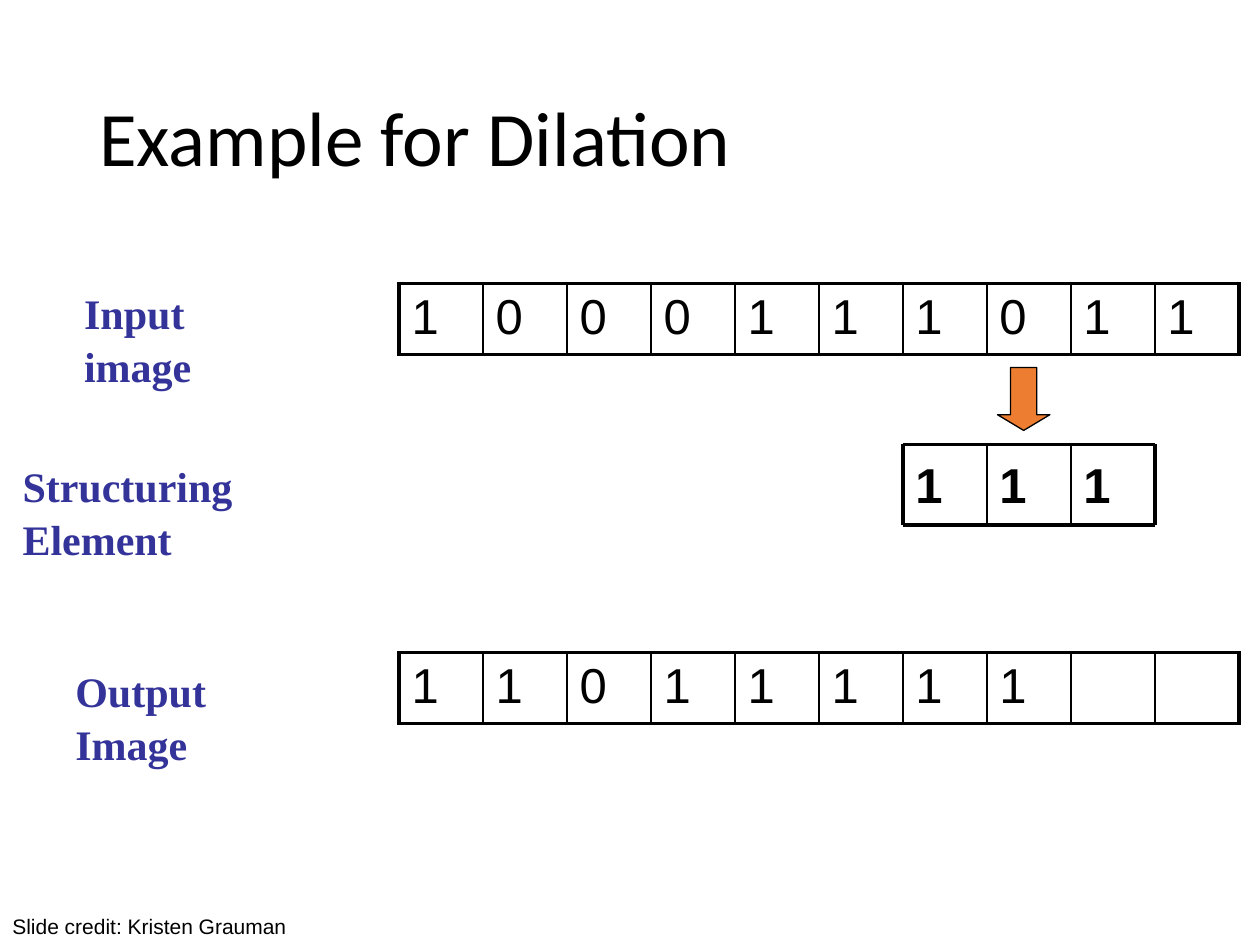
import dataclasses

import lxml.etree
import pptx
import pptx.dml.color
import pptx.enum.shapes
import pptx.enum.text
import pptx.oxml.ns
import pptx.util

Pt = pptx.util.Pt
qn = pptx.oxml.ns.qn
Anchor = pptx.enum.text.MSO_ANCHOR
AutoSize = pptx.enum.text.MSO_AUTO_SIZE


@dataclasses.dataclass(frozen=True)
class Theme:
    black: str = "000000"
    label: str = "333399"
    arrow: str = "ED7D31"
    title_font: str = "Calibri"
    body_font: str = "Arial"
    label_font: str = "Times New Roman"
    title_size: int = 44
    digit_size: int = 28
    label_size: int = 24
    credit_size: int = 12
    thick: float = 2.25
    thin: float = 1
    outline: float = 0.75


theme = Theme()
color = pptx.dml.color.RGBColor.from_string


def write(text_frame, text, font_name, size, rgb=theme.black, bold=False):
    text_frame.text = text
    paragraph = text_frame.paragraphs[0]
    paragraph.alignment = pptx.enum.text.PP_ALIGN.LEFT
    for run in paragraph.runs:
        run.font.name = font_name
        run.font.size = Pt(size)
        run.font.color.rgb = color(rgb)
        run.font.bold = bold
    return paragraph


def set_borders(cell, widths):
    properties = cell._tc.get_or_add_tcPr()
    for index, (side, width) in enumerate(widths.items()):
        line = lxml.etree.Element(qn(f"a:ln{side}"), w=str(Pt(width)))
        fill = lxml.etree.SubElement(line, qn("a:solidFill"))
        lxml.etree.SubElement(fill, qn("a:srgbClr"), val=theme.black)
        properties.insert(index, line)


presentation = pptx.Presentation()
presentation.slide_width = Pt(720)
presentation.slide_height = Pt(540)
slide = presentation.slides.add_slide(presentation.slide_layouts[5])
shapes = slide.shapes

# Title
title = shapes.title
title.left, title.top, title.width, title.height = Pt(49.5), Pt(28.8), Pt(621), Pt(104.4)
title.text_frame.vertical_anchor = Anchor.MIDDLE
title.text_frame.auto_size = AutoSize.NONE
write(title.text_frame, "Example for Dilation", theme.title_font, theme.title_size).line_spacing = 0.9

# Input and output rows, one table each
cell_width = 48
row_left, row_height = 228, 40.5
for top, digits in [(162, "1000111011"), (373, "11011111  ")]:
    count = len(digits)
    frame = shapes.add_table(1, count, Pt(row_left), Pt(top), Pt(cell_width * count), Pt(row_height))
    table = frame.table
    table.first_row = False
    table.horz_banding = False
    for index, digit in enumerate(digits):
        table.columns[index].width = Pt(cell_width)
        cell = table.cell(0, index)
        cell.fill.background()
        write(cell.text_frame, digit.strip(), theme.body_font, theme.digit_size)
        set_borders(cell, {
            "L": theme.thick if index == 0 else theme.thin,
            "R": theme.thick if index == count - 1 else theme.thin,
            "T": theme.thick,
            "B": theme.thick,
        })

# Row labels
for text, left, top, width in [
    ("Input image", 41, 159, 129.6),
    ("Structuring Element", 5.8, 257.8, 208),
    ("Output Image", 36, 375, 147),
]:
    label = shapes.add_textbox(Pt(left), Pt(top), Pt(width), Pt(36))
    label.text_frame.word_wrap = True
    label.text_frame.auto_size = AutoSize.SHAPE_TO_FIT_TEXT
    paragraph = write(label.text_frame, text, theme.label_font, theme.label_size, theme.label, True)
    paragraph.line_spacing = 1.06

# Structuring element: digits
element_left, element_top, element_bottom = 516, 254, 300
element_digits = "111"
for index, digit in enumerate(element_digits):
    box = shapes.add_textbox(Pt(element_left + index * cell_width), Pt(element_top),
                             Pt(cell_width), Pt(element_bottom - element_top))
    box.text_frame.word_wrap = True
    box.text_frame.margin_top = Pt(5.5)
    write(box.text_frame, digit, theme.body_font, theme.digit_size, bold=True)

# Structuring element: grid lines
element_right = element_left + len(element_digits) * cell_width
grid_lines = [(element_left, y, element_right, y, theme.thick) for y in (element_top, element_bottom)]
for x in range(element_left, element_right + 1, cell_width):
    width = theme.thick if x in (element_left, element_right) else theme.thin
    grid_lines.append((x, element_top, x, element_bottom, width))
for x1, y1, x2, y2, width in grid_lines:
    connector = shapes.add_connector(pptx.enum.shapes.MSO_CONNECTOR.STRAIGHT,
                                     Pt(x1), Pt(y1), Pt(x2), Pt(y2))
    connector.line.color.rgb = color(theme.black)
    connector.line.width = Pt(width)
    lxml.etree.SubElement(connector._element.spPr, qn("a:effectLst"))

# Arrow from the input row to the structuring element
arrow = shapes.add_shape(pptx.enum.shapes.MSO_SHAPE.DOWN_ARROW, Pt(570), Pt(210), Pt(30), Pt(36))
arrow.adjustments[0] = 0.5
arrow.adjustments[1] = 0.3
arrow.shadow.inherit = False
arrow.fill.solid()
arrow.fill.fore_color.rgb = color(theme.arrow)
arrow.line.color.rgb = color(theme.black)
arrow.line.width = Pt(theme.outline)

# Credit
credit = shapes.add_textbox(Pt(0), Pt(518.4), Pt(330), Pt(21.6))
credit.text_frame.word_wrap = True
credit.text_frame.auto_size = AutoSize.SHAPE_TO_FIT_TEXT
write(credit.text_frame, "Slide credit: Kristen Grauman", theme.body_font, theme.credit_size)

presentation.save("out.pptx")
